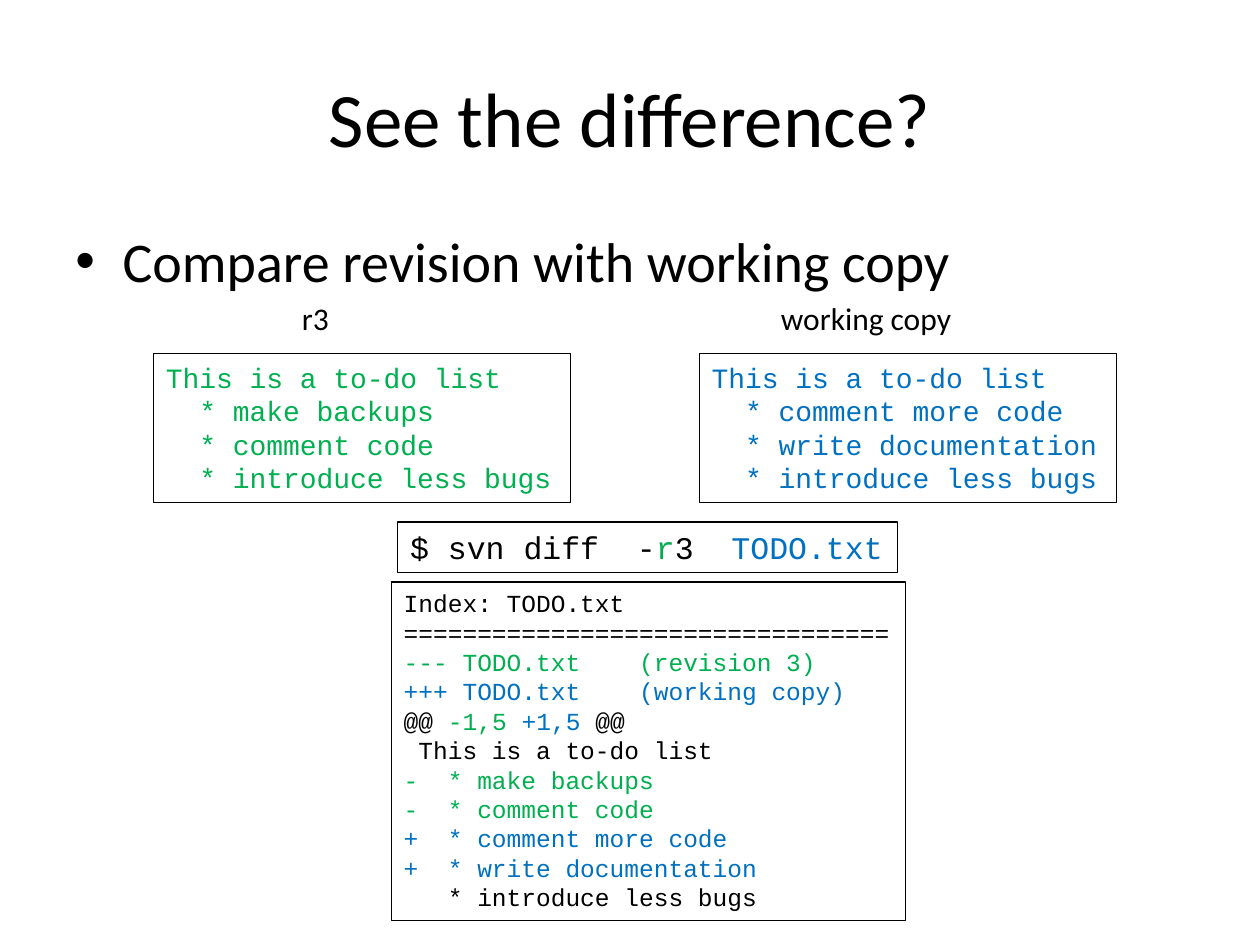
from lxml.etree import SubElement
from pptx import Presentation
from pptx.dml.color import RGBColor
from pptx.enum.text import MSO_ANCHOR, MSO_AUTO_SIZE, PP_ALIGN
from pptx.oxml.ns import qn
from pptx.util import Pt

COLORS = {"text": "000000", "old": "00B050", "new": "0070C0"}
CODE_FONT = "Courier New"
OLD_LINES = ["This is a to-do list", "  * make backups", "  * comment code",
             "  * introduce less bugs"]
NEW_LINES = ["This is a to-do list", "  * comment more code",
             "  * write documentation", "  * introduce less bugs"]
COMMAND = [[("$ svn diff  -", "text"), ("r", "old"), ("3  ", "text"),
            ("TODO.txt", "new")]]
DIFF = [
    "Index: TODO.txt",
    "=" * 33,
    [("--- TODO.txt    (revision 3)", "old")],
    [("+++ TODO.txt    (working copy)", "new")],
    [("@@ ", "text"), ("-1,5 ", "old"), ("+1,5", "new"), (" @@", "text")],
    " This is a to-do list",
    [("-  * make backups", "old")],
    [("-  * comment code", "old")],
    [("+  * comment more code", "new")],
    [("+  * write documentation", "new")],
    "   * introduce less bugs",
]


def add_text(slide, box, lines, size, font="Calibri", color="text", align=PP_ALIGN.LEFT,
             anchor=MSO_ANCHOR.TOP, wrap=False, framed=False, bullet=None):
    """Place lines of plain text or (text, color) runs in a box."""
    area = slide.shapes.add_textbox(*map(Pt, box))
    if framed:
        area.line.color.rgb = RGBColor.from_string(COLORS["text"])
        area.line.width = Pt(0.75)
    frame = area.text_frame
    frame.word_wrap = wrap
    frame.auto_size = MSO_AUTO_SIZE.NONE if wrap else MSO_AUTO_SIZE.SHAPE_TO_FIT_TEXT
    frame.vertical_anchor = anchor
    for index, line in enumerate(lines):
        paragraph = frame.add_paragraph() if index else frame.paragraphs[0]
        paragraph.alignment = align
        if bullet:
            props = paragraph._p.get_or_add_pPr()
            props.set("marL", str(Pt(27)))
            props.set("indent", str(-Pt(27)))
            SubElement(props, qn("a:buFont"), typeface="Arial")
            SubElement(props, qn("a:buChar"), char=bullet)
        for text, tone in [(line, color)] if isinstance(line, str) else line:
            run = paragraph.add_run()
            run.text = text
            run.font.name = font
            run.font.size = Pt(size)
            run.font.color.rgb = RGBColor.from_string(COLORS[tone])


def add_heading(slide, left, top, width):
    """Write the title and the bullet point below it."""
    add_text(slide, (left, top, width, 90), ["See the difference?"], 44,
             align=PP_ALIGN.CENTER, anchor=MSO_ANCHOR.MIDDLE, wrap=True)
    add_text(slide, (left, top + 104.4, width, 50), ["Compare revision with working copy"],
             32, wrap=True, bullet="•")


def add_version(slide, left, top, label, label_left, label_width, lines, color):
    """Draw one version of the file with its label above."""
    add_text(slide, (left + label_left, top, label_width, 29), [label], 18)
    add_text(slide, (left, top + 35, 238.5, 85), lines, 16, CODE_FONT, color, framed=True)


def add_comparison(slide, left, top):
    """Draw the diff command and its output."""
    add_text(slide, (left + 3.7, top, 285.8, 29), COMMAND, 18, CODE_FONT, framed=True)
    add_text(slide, (left, top + 34.3, 293.8, 193.7), DIFF, 14, CODE_FONT, framed=True)


def main():
    """Build the slide and save it."""
    deck = Presentation()
    deck.slide_width, deck.slide_height = Pt(720), Pt(540)
    slide = deck.slides.add_slide(deck.slide_layouts[6])
    add_heading(slide, 36, 21.6, 648)
    add_version(slide, 87.7, 167.2, "r3", 77.7, 30, OLD_LINES, "old")
    add_version(slide, 399.6, 167.2, "working copy", 39.6, 113, NEW_LINES, "new")
    add_comparison(slide, 223.6, 298.2)
    deck.save("out.pptx")


if __name__ == "__main__":
    main()
